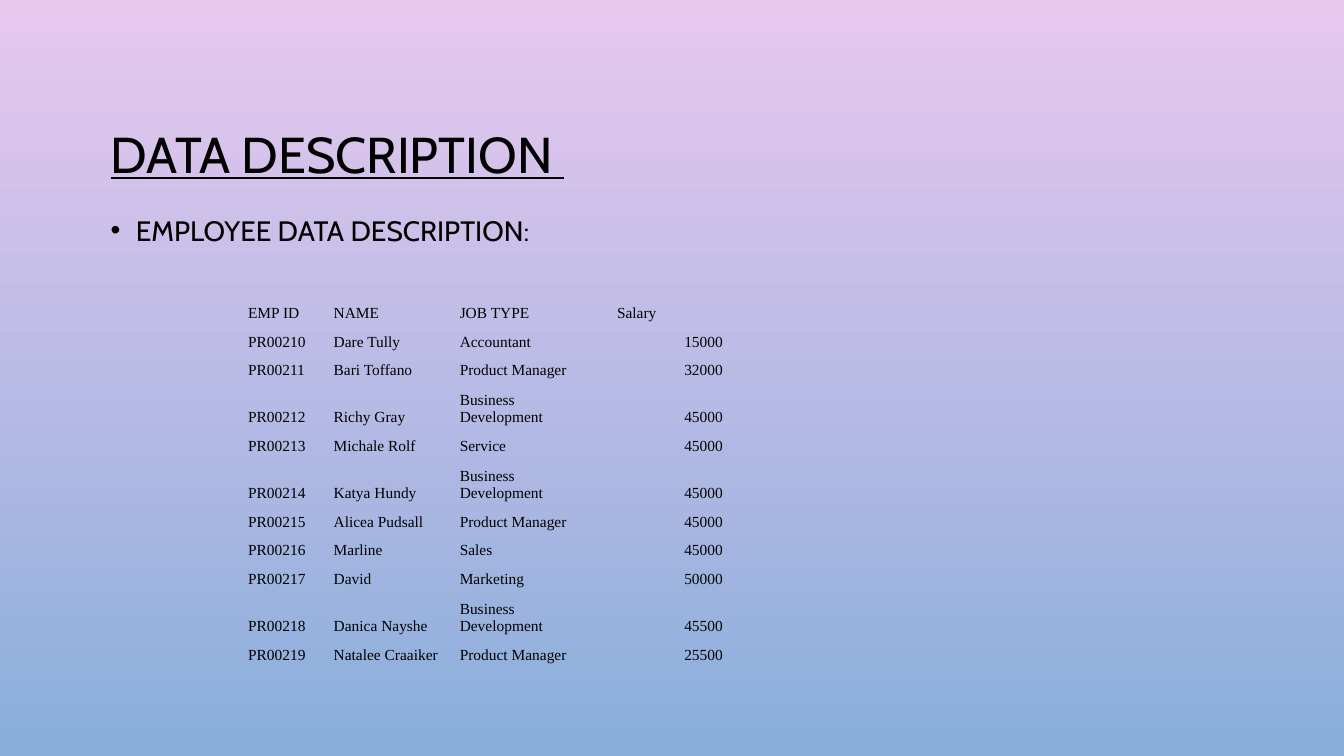
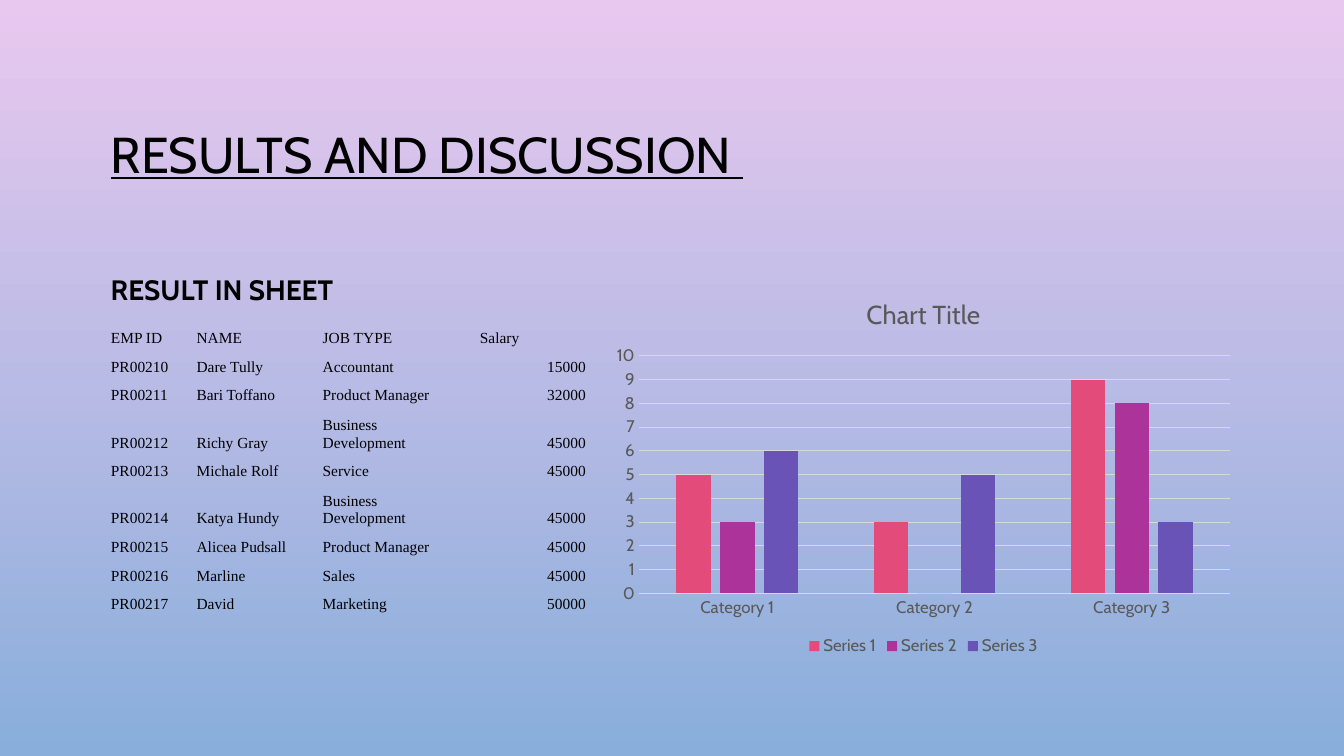
from lxml import etree
from pptx import Presentation
from pptx.chart.data import CategoryChartData
from pptx.dml.color import RGBColor
from pptx.enum.chart import XL_CHART_TYPE, XL_LEGEND_POSITION, XL_TICK_MARK
from pptx.enum.text import MSO_ANCHOR, PP_ALIGN
from pptx.oxml.ns import qn
from pptx.util import Inches, Pt

COLUMNS = XL_CHART_TYPE.COLUMN_CLUSTERED
LEGEND_BOTTOM = XL_LEGEND_POSITION.BOTTOM
NO_TICK = XL_TICK_MARK.NONE
TOP, MIDDLE, BOTTOM = MSO_ANCHOR.TOP, MSO_ANCHOR.MIDDLE, MSO_ANCHOR.BOTTOM
LEFT, RIGHT = PP_ALIGN.LEFT, PP_ALIGN.RIGHT

BODY_FONT, TABLE_FONT = "Cabin", "Times New Roman"
INK, GREY, GRID = "000000", "595959", "D9D9D9"
BACKGROUND = ["E9C8EF", "89AEDB"]
PLAIN_TABLE_STYLE = "{2D5ABB26-0587-4C30-8999-92F81FD0307C}"

TITLE_BOX = (1, 0.68, 11.33, 1.75)
COLUMN_WIDTHS = [0.85, 1.25, 1.56, 1.25]
ROW_HEIGHT = 0.19
HEADER = ("EMP ID", "NAME", "JOB TYPE", "Salary")
EMPLOYEES = [
    ("PR00210", "Dare Tully", "Accountant", 15000),
    ("PR00211", "Bari Toffano", "Product Manager", 32000),
    ("PR00212", "Richy Gray", "Business Development", 45000),
    ("PR00213", "Michale Rolf", "Service", 45000),
    ("PR00214", "Katya Hundy", "Business Development", 45000),
    ("PR00215", "Alicea Pudsall", "Product Manager", 45000),
    ("PR00216", "Marline", "Sales", 45000),
    ("PR00217", "David", "Marketing", 50000),
    ("PR00218", "Danica Nayshe", "Business Development", 45500),
    ("PR00219", "Natalee Craaiker", "Product Manager", 25500),
]
CATEGORIES = ["Category 1", "Category 2", "Category 3"]
SERIES = [
    ("Series 1", (5, 3, 9), "E34B7A"),
    ("Series 2", (3, 0, 8), "AC339A"),
    ("Series 3", (6, 5, 3), "6953B7"),
]


def colour(hex_code):
    return RGBColor.from_string(hex_code)


def inches(*lengths):
    return [Inches(length) for length in lengths]


def style_font(font, size, color=INK, name=BODY_FONT, bold=False, underline=False):
    font.size = Pt(size)
    font.name = name
    font.bold = bold
    font.underline = underline
    font.color.rgb = colour(color)


def write(para, text, align=LEFT, line_spacing=None, space_before=0, **font_format):
    para.alignment = align
    para.space_before = Pt(space_before)
    if line_spacing:
        para.line_spacing = line_spacing
    span = para.add_run()
    span.text = text
    style_font(span.font, **font_format)


def add_bullet(para, indent):
    properties = para._p.get_or_add_pPr()
    properties.set("marL", str(Inches(indent)))
    properties.set("indent", str(-Inches(indent)))
    tint = etree.SubElement(properties, qn("a:buClr"))
    etree.SubElement(tint, qn("a:srgbClr"), val=INK)
    etree.SubElement(properties, qn("a:buFont"), typeface="Arial")
    etree.SubElement(properties, qn("a:buChar"), char="•")


def add_text(page, box, text, anchor=TOP, **text_format):
    frame = page.shapes.add_textbox(*inches(*box)).text_frame
    frame.word_wrap = True
    frame.vertical_anchor = anchor
    para = frame.paragraphs[0]
    write(para, text, **text_format)
    return para


def add_body(page, box, text, bold=False):
    return add_text(page, box, text, size=20, bold=bold,
                    line_spacing=1.2, space_before=10)


def add_employee_table(page, left, top, employees):
    rows = [HEADER, *employees]
    box = (left, top, sum(COLUMN_WIDTHS), ROW_HEIGHT * len(rows))
    holder = page.shapes.add_table(len(rows), len(HEADER), *inches(*box))
    for style_id in holder.element.iter(qn("a:tableStyleId")):
        style_id.text = PLAIN_TABLE_STYLE
    table = holder.table
    table.first_row = table.horz_banding = False
    for column, width in zip(table.columns, COLUMN_WIDTHS):
        column.width = Inches(width)
    for row_index, values in enumerate(rows):
        table.rows[row_index].height = Inches(ROW_HEIGHT)
        for column_index, value in enumerate(values):
            cell = table.cell(row_index, column_index)
            cell.fill.background()
            cell.vertical_anchor = BOTTOM
            write(cell.text_frame.paragraphs[0], str(value), size=11, name=TABLE_FONT,
                  align=RIGHT if isinstance(value, int) else LEFT)


def style_line(line):
    line.color.rgb = colour(GRID)
    line.width = Pt(0.75)


def add_column_chart(page, box):
    data = CategoryChartData()
    data.categories = CATEGORIES
    for name, values, _ in SERIES:
        data.add_series(name, values)
    chart = page.shapes.add_chart(COLUMNS, *inches(*box), data).chart
    style_font(chart.font, size=10)
    chart.has_title = True
    write(chart.chart_title.text_frame.paragraphs[0], "Chart Title", size=18.6,
          color=GREY, align=None)
    chart.chart_title.include_in_layout = False
    chart.has_legend = True
    chart.legend.position = LEGEND_BOTTOM
    chart.legend.include_in_layout = False
    style_font(chart.legend.font, size=12, color=GREY)

    category_axis, value_axis = chart.category_axis, chart.value_axis
    for axis in (category_axis, value_axis):
        axis.major_tick_mark = axis.minor_tick_mark = NO_TICK
        style_font(axis.tick_labels.font, size=12, color=GREY)
    style_line(category_axis.format.line)
    value_axis.format.line.fill.background()
    value_axis.minimum_scale, value_axis.maximum_scale = 0, 10
    value_axis.major_unit = 1
    value_axis.has_major_gridlines = True
    style_line(value_axis.major_gridlines.format.line)

    plot = chart.plots[0]
    plot.vary_by_categories = False
    plot.gap_width, plot.overlap = 219, -27
    for series, (_, _, color) in zip(plot.series, SERIES):
        series.format.fill.solid()
        series.format.fill.fore_color.rgb = colour(color)


def paint_background(master):
    fill = master.background.fill
    fill.gradient()
    fill.gradient_angle = 270
    for position, (stop, color) in enumerate(zip(fill.gradient_stops, BACKGROUND)):
        stop.position = position
        stop.color.rgb = colour(color)


def add_page(deck, title):
    page = deck.slides.add_slide(deck.slide_layouts[6])
    add_text(page, TITLE_BOX, title, anchor=MIDDLE, size=36, underline=True,
             line_spacing=0.9)
    return page


def add_data_page(deck):
    page = add_page(deck, "DATA DESCRIPTION ")
    para = add_body(page, (1, 2, 11.33, 5.31), "EMPLOYEE DATA DESCRIPTION:")
    add_bullet(para, 0.25)
    add_employee_table(page, 2.36, 2.96, EMPLOYEES)


def add_results_page(deck):
    page = add_page(deck, "RESULTS AND DISCUSSION ")
    add_body(page, (1, 2.59, 11.33, 3.74), "RESULT IN SHEET", bold=True)
    add_employee_table(page, 1, 3.21, EMPLOYEES[:8])
    add_column_chart(page, (5.99, 2.76, 6.34, 3.79))


def main():
    deck = Presentation()
    deck.slide_width, deck.slide_height = inches(13.33, 7.5)
    paint_background(deck.slide_master)
    add_data_page(deck)
    add_results_page(deck)
    deck.save("out.pptx")


if __name__ == "__main__":
    main()
